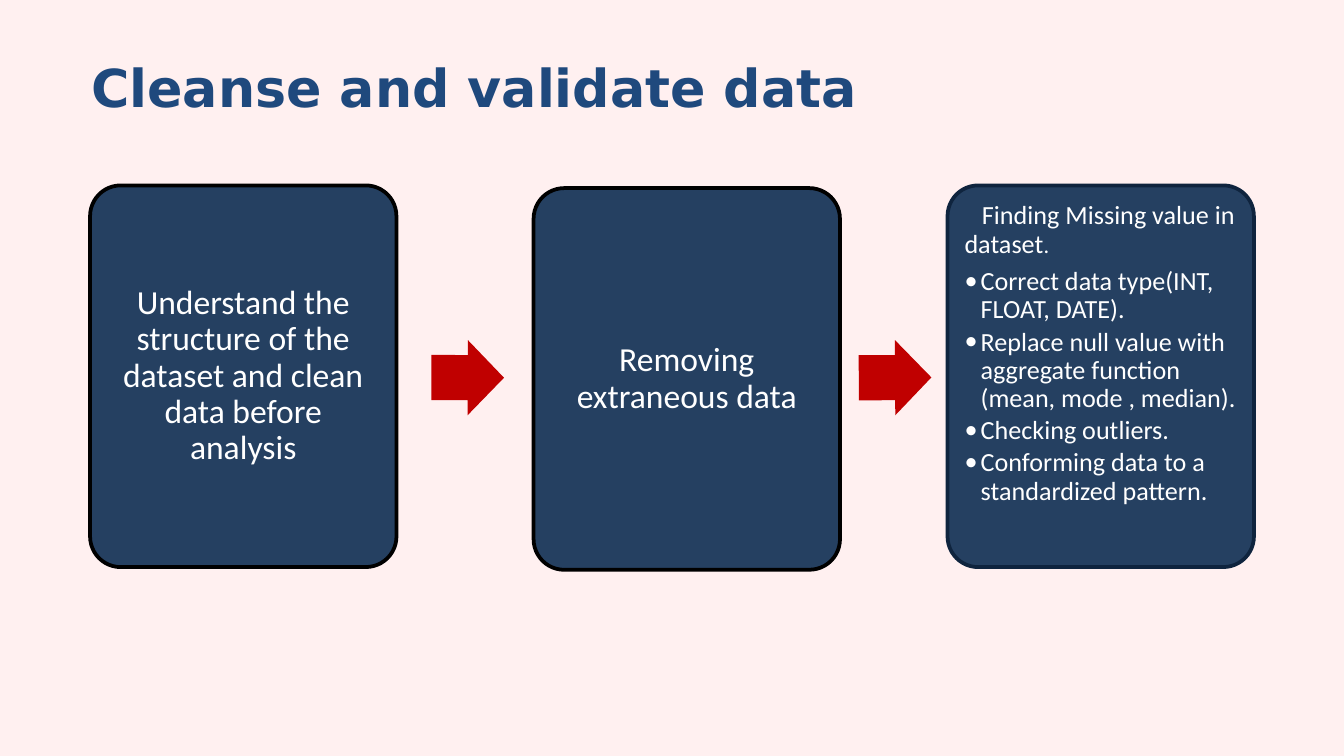
"""Build the slide on cleansing and validating data."""
from dataclasses import dataclass

from lxml.etree import SubElement
from pptx import Presentation
from pptx.dml.color import RGBColor
from pptx.enum.shapes import MSO_SHAPE
from pptx.enum.text import MSO_ANCHOR, MSO_AUTO_SIZE, PP_ALIGN
from pptx.oxml.ns import qn
from pptx.util import Inches, Pt


@dataclass(frozen=True)
class Theme:
    background: str = "FFF0F0"
    heading: str = "1F497D"
    card: str = "254061"
    card_text: str = "FFFFFF"
    outline: str = "000000"
    last_outline: str = "0F243E"
    arrow: str = "C00000"
    heading_font: str = "DejaVu Sans"
    body_font: str = "Calibri"
    heading_size: int = 28
    step_size: int = 18
    detail_size: int = 14
    stop_size: int = 12


@dataclass(frozen=True)
class Step:
    left: float
    top: float
    outline: str
    inset: float
    anchor: MSO_ANCHOR
    summary: str = ""


@dataclass(frozen=True)
class Arrow:
    left: float
    rotation: float


THEME = Theme()
CARD_WIDTH, CARD_HEIGHT = 2.28, 2.84
STEPS = (
    Step(0.67, 1.38, THEME.outline, 0.07, MSO_ANCHOR.MIDDLE,
         "Understand the structure of the dataset and clean data before analysis"),
    Step(3.97, 1.4, THEME.outline, 0.07, MSO_ANCHOR.MIDDLE, "Removing extraneous data"),
    Step(7.05, 1.38, THEME.last_outline, 0.06, MSO_ANCHOR.TOP),
)
ARROWS = (Arrow(3.21, 0.2), Arrow(6.39, 359.7))
CHECKS = (
    "Correct data type(INT, FLOAT, DATE).",
    "Replace null value with aggregate function (mean, mode , median).",
    "Checking outliers.",
    "Conforming data to a standardized pattern.",
)


def add_text(paragraph, text: str, *, size: int, font: str = THEME.body_font,
             color: str = THEME.card_text, bold: bool = False) -> None:
    """Append a formatted run to a paragraph."""
    run = paragraph.add_run()
    run.text = text
    run.font.size = Pt(size)
    run.font.name = font
    run.font.bold = bold
    run.font.color.rgb = RGBColor.from_string(color)


def set_spacing(paragraph, align: PP_ALIGN, after: float) -> None:
    """Set the alignment and spacing shared by card paragraphs."""
    paragraph.alignment = align
    paragraph.line_spacing = 0.9
    paragraph.space_after = Pt(after)


def set_indent(paragraph, margin: float, first_line: float, bullet: str = "") -> None:
    """Indent a paragraph and give it an optional bullet."""
    properties = paragraph._p.get_or_add_pPr()
    properties.set("marL", str(Inches(margin)))
    properties.set("indent", str(Inches(first_line)))
    if bullet:
        SubElement(properties, qn("a:buFont")).set("typeface", THEME.body_font)
        SubElement(properties, qn("a:buChar")).set("char", bullet)


def set_insets(frame, left: float, top: float, right: float, bottom: float) -> None:
    """Set the inner margins of a text frame."""
    frame.margin_left, frame.margin_top = Inches(left), Inches(top)
    frame.margin_right, frame.margin_bottom = Inches(right), Inches(bottom)


def draw_step(slide, step: Step):
    """Draw a step card and return its text frame."""
    card = slide.shapes.add_shape(
        MSO_SHAPE.ROUNDED_RECTANGLE, Inches(step.left), Inches(step.top),
        Inches(CARD_WIDTH), Inches(CARD_HEIGHT))
    card.adjustments[0] = 0.1
    card.shadow.inherit = False
    card.fill.solid()
    card.fill.fore_color.rgb = RGBColor.from_string(THEME.card)
    card.line.color.rgb = RGBColor.from_string(step.outline)
    card.line.width = Pt(2)
    frame = card.text_frame
    frame.word_wrap = True
    frame.vertical_anchor = step.anchor
    set_insets(frame, *[step.inset] * 4)
    if step.summary:
        set_spacing(frame.paragraphs[0], PP_ALIGN.CENTER, 6.3)
        add_text(frame.paragraphs[0], step.summary, size=THEME.step_size)
    return frame


def write_checks(frame) -> None:
    """Write the missing-value lead and the list of checks."""
    lead = frame.paragraphs[0]
    set_spacing(lead, PP_ALIGN.LEFT, 4.9)
    set_indent(lead, 0, 0.13)
    add_text(lead, "Finding Missing value in dataset", size=THEME.detail_size)
    add_text(lead, ".", size=THEME.stop_size)
    for check in CHECKS:
        item = frame.add_paragraph()
        item.level = 1
        set_spacing(item, PP_ALIGN.LEFT, 2.1)
        set_indent(item, 0.12, -0.12, "•")
        add_text(item, check, size=THEME.detail_size)


def draw_arrow(slide, arrow: Arrow) -> None:
    """Draw an arrow between two steps."""
    pointer = slide.shapes.add_shape(
        MSO_SHAPE.RIGHT_ARROW, Inches(arrow.left), Inches(2.53), Inches(0.54), Inches(0.56))
    pointer.adjustments[0] = 0.6
    pointer.adjustments[1] = 0.5
    pointer.rotation = arrow.rotation
    pointer.shadow.inherit = False
    pointer.fill.solid()
    pointer.fill.fore_color.rgb = RGBColor.from_string(THEME.arrow)
    pointer.line.fill.background()


def write_heading(slide) -> None:
    """Place and format the slide title."""
    heading = slide.shapes.title
    heading.left, heading.top = Inches(0.58), Inches(0.4)
    heading.width, heading.height = Inches(5.87), Inches(0.96)
    frame = heading.text_frame
    frame.word_wrap = True
    frame.auto_size = MSO_AUTO_SIZE.NONE
    frame.vertical_anchor = MSO_ANCHOR.TOP
    set_insets(frame, 0.1, 0.01, 0, 0)
    frame.paragraphs[0].alignment = PP_ALIGN.LEFT
    add_text(frame.paragraphs[0], "Cleanse and validate data", size=THEME.heading_size,
             font=THEME.heading_font, color=THEME.heading, bold=True)


def main() -> None:
    """Create and save the presentation."""
    deck = Presentation()
    deck.slide_width = Inches(10)
    deck.slide_height = deck.slide_width * 9 // 16
    slide = deck.slides.add_slide(deck.slide_layouts[5])
    slide.background.fill.solid()
    slide.background.fill.fore_color.rgb = RGBColor.from_string(THEME.background)
    write_heading(slide)
    frames = [draw_step(slide, step) for step in STEPS]
    write_checks(frames[-1])
    for arrow in ARROWS:
        draw_arrow(slide, arrow)
    deck.save("out.pptx")


if __name__ == "__main__":
    main()
